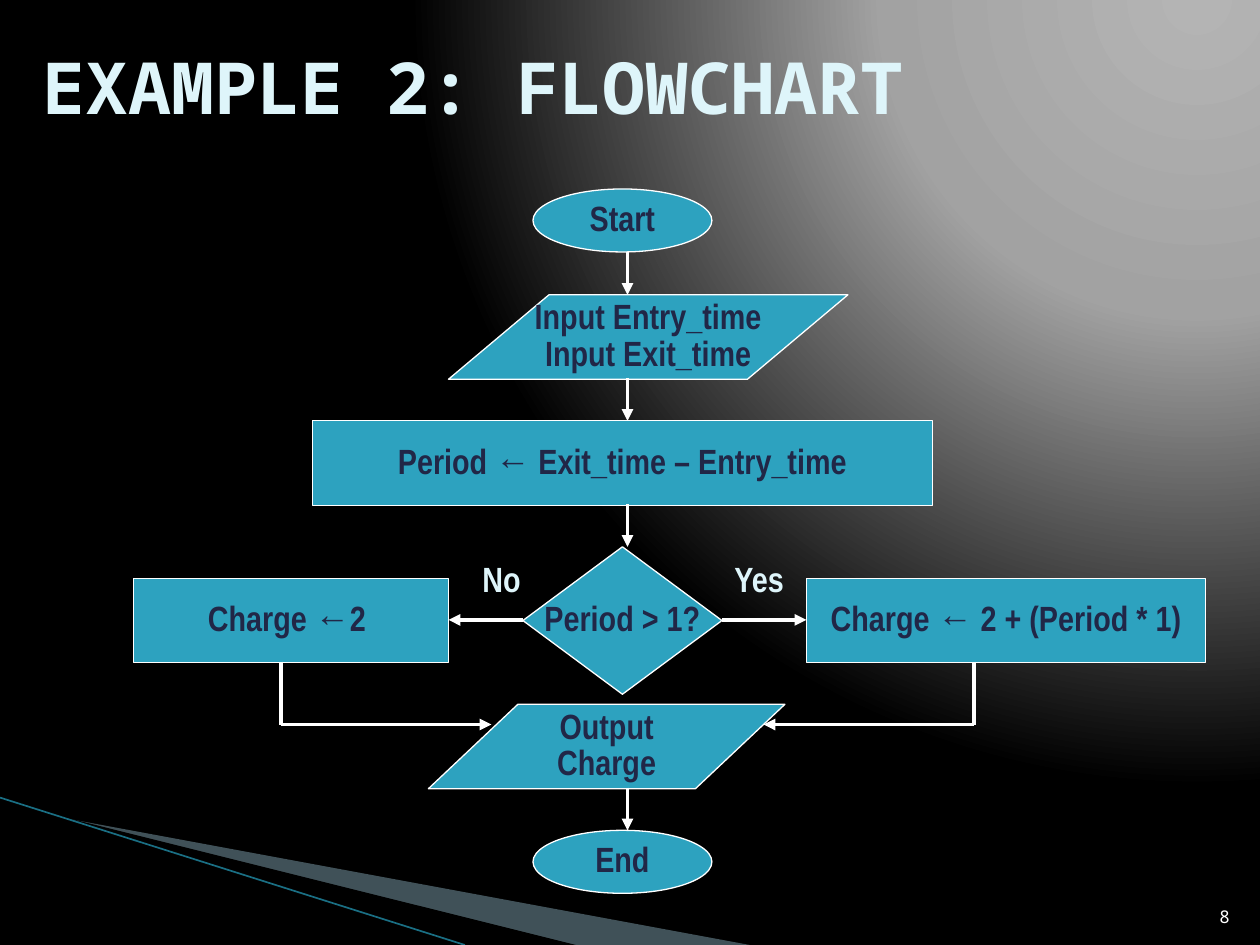
from dataclasses import dataclass

from lxml.etree import SubElement
from pptx import Presentation
from pptx.dml.color import RGBColor
from pptx.enum.shapes import MSO_CONNECTOR, MSO_SHAPE as Shape
from pptx.enum.text import MSO_ANCHOR as Anchor, PP_ALIGN as Align
from pptx.oxml.ns import qn
from pptx.util import Inches, Pt

WHITE = RGBColor(0xFF, 0xFF, 0xFF)
BLACK = RGBColor(0, 0, 0)
TEAL = RGBColor(0x2D, 0xA2, 0xBF)
NAVY = RGBColor(0x21, 0x27, 0x47)
ICE = RGBColor(0xDE, 0xF5, 0xFA)
WEDGE_BLUE = RGBColor(0xA0, 0xCB, 0xDC)
EDGE_BLUE = RGBColor(0x1A, 0x6F, 0x84)
GLOW_STOPS = ((0, "B4B4B4"), (40, "A2A2A2"), (100, "000000"))
GLOW_CENTRE = {"l": 95, "t": -106, "r": 5, "b": 206}

FLOW_FONT = "Arial Narrow"
MONO_FONT = "Noto Sans Mono"
BOX_HEIGHT = 0.67
OVAL_WIDTH, OVAL_HEIGHT = 1.42, 0.5
SPINE = 4.98
BRANCH_Y = 4.92
JOIN_Y = 5.75


@dataclass(frozen=True)
class TextStyle:
    font: str
    size: float
    color: RGBColor
    bold: bool = True
    align: Align = Align.LEFT
    spacing: float = 1.0


@dataclass(frozen=True)
class Node:
    kind: Shape
    left: float
    top: float
    width: float
    height: float
    lines: tuple[str, ...]
    slant: float | None = None


@dataclass(frozen=True)
class Label:
    text: str
    left: float
    top: float
    width: float
    height: float
    style: TextStyle
    anchor: Anchor = Anchor.TOP
    wrap: bool = False


@dataclass(frozen=True)
class Route:
    points: tuple[tuple[float, float], ...]


NODE_STYLE = TextStyle(FLOW_FONT, 20, NAVY, align=Align.CENTER, spacing=0.87)
BRANCH_STYLE = TextStyle(FLOW_FONT, 20, ICE, spacing=0.87)
TITLE_STYLE = TextStyle(MONO_FONT, 41, ICE, spacing=0.8)
NUMBER_STYLE = TextStyle(MONO_FONT, 10, WHITE, bold=False, align=Align.RIGHT)

NODES = (
    Node(Shape.OVAL, 4.23, 1.5, OVAL_WIDTH, OVAL_HEIGHT, ("Start",)),
    Node(Shape.PARALLELOGRAM, 3.56, 2.34, 3.17, BOX_HEIGHT,
         ("Input Entry_time", "Input Exit_time"), 1.19),
    Node(Shape.RECTANGLE, 2.48, 3.34, 4.92, BOX_HEIGHT,
         ("Period ← Exit_time – Entry_time",)),
    Node(Shape.DIAMOND, 4.15, 4.34, 1.58, 1.17, ("Period > 1?",)),
    Node(Shape.RECTANGLE, 1.06, 4.59, 2.5, BOX_HEIGHT, ("Charge ←2 ",)),
    Node(Shape.RECTANGLE, 6.4, 4.59, 3.17, BOX_HEIGHT,
         ("Charge ← 2 + (Period * 1)",)),
    Node(Shape.PARALLELOGRAM, 3.4, 5.59, 2.83, BOX_HEIGHT,
         ("Output", "Charge"), 1.06),
    Node(Shape.OVAL, 4.23, 6.59, OVAL_WIDTH, OVAL_HEIGHT, ("End",)),
)
LABELS = (
    Label("EXAMPLE 2: FLOWCHART", 0.24, 0.12, 8.5, 1.25, TITLE_STYLE,
          Anchor.MIDDLE, True),
    Label("No", 3.73, 4.42, 0.51, 0.43, BRANCH_STYLE),
    Label("Yes", 5.73, 4.42, 0.61, 0.43, BRANCH_STYLE),
    Label("8", 9.46, 7.01, 0.4, 0.4, NUMBER_STYLE, Anchor.BOTTOM, True),
)
ROUTES = tuple(
    Route(((SPINE, top), (SPINE, top + 0.34))) for top in (2, 3, 4, 6.25)
) + (
    Route(((4.15, BRANCH_Y), (3.56, BRANCH_Y))),
    Route(((5.73, BRANCH_Y), (6.4, BRANCH_Y))),
    Route(((2.23, 5.25), (2.23, JOIN_Y), (3.9, JOIN_Y))),
    Route(((7.73, 5.25), (7.73, JOIN_Y), (6.06, JOIN_Y))),
)


def paint_background(slide) -> None:
    slide.background.fill.solid()
    properties = slide.element.find(".//" + qn("p:bgPr"))
    properties.remove(properties.find(qn("a:solidFill")))
    gradient = SubElement(properties, qn("a:gradFill"), rotWithShape="1")
    properties.insert(0, gradient)
    stops = SubElement(gradient, qn("a:gsLst"))
    for position, color in GLOW_STOPS:
        stop = SubElement(stops, qn("a:gs"), pos=str(position * 1000))
        SubElement(stop, qn("a:srgbClr"), val=color)
    circle = SubElement(gradient, qn("a:path"), path="circle")
    SubElement(circle, qn("a:fillToRect"),
               {side: str(value * 1000) for side, value in GLOW_CENTRE.items()})


def write_lines(frame, lines: tuple[str, ...], style: TextStyle,
                anchor: Anchor, wrap: bool) -> None:
    frame.word_wrap = wrap
    frame.vertical_anchor = anchor
    for index, line in enumerate(lines):
        paragraph = frame.add_paragraph() if index else frame.paragraphs[0]
        paragraph.alignment = style.align
        paragraph.line_spacing = style.spacing
        run = paragraph.add_run()
        run.text = line
        run.font.name = style.font
        run.font.size = Pt(style.size)
        run.font.bold = style.bold
        run.font.color.rgb = style.color


def draw_wedge(slide, points: tuple[tuple[float, float], ...],
               color: RGBColor, opacity: int) -> None:
    corners = [(Inches(x), Inches(y)) for x, y in points]
    builder = slide.shapes.build_freeform(*corners[0])
    builder.add_line_segments(corners[1:], close=True)
    shape = builder.convert_to_shape()
    shape.shadow.inherit = False
    shape.fill.solid()
    shape.fill.fore_color.rgb = color
    shape.line.fill.background()
    swatch = shape.element.spPr.find(qn("a:solidFill")).find(qn("a:srgbClr"))
    SubElement(swatch, qn("a:alpha"), val=str(opacity * 1000))


def draw_line(slide, start: tuple[float, float], end: tuple[float, float],
              color: RGBColor, width: float, arrow: bool = False) -> None:
    connector = slide.shapes.add_connector(
        MSO_CONNECTOR.STRAIGHT, *(Inches(value) for value in start + end))
    connector.line.color.rgb = color
    connector.line.width = Pt(width)
    properties = connector.element.spPr
    if arrow:
        SubElement(properties.find(qn("a:ln")), qn("a:tailEnd"), type="triangle")
    SubElement(properties, qn("a:effectLst"))


def draw_route(slide, route: Route) -> None:
    for start, end in zip(route.points, route.points[1:]):
        draw_line(slide, start, end, WHITE, 2.25, end == route.points[-1])


def draw_node(slide, node: Node) -> None:
    shape = slide.shapes.add_shape(
        node.kind, Inches(node.left), Inches(node.top),
        Inches(node.width), Inches(node.height))
    shape.shadow.inherit = False
    if node.slant is not None:
        shape.adjustments[0] = node.slant
    shape.fill.solid()
    shape.fill.fore_color.rgb = TEAL
    shape.line.color.rgb = WHITE
    shape.line.width = Pt(0.75)
    write_lines(shape.text_frame, node.lines, NODE_STYLE, Anchor.MIDDLE, False)


def draw_label(slide, label: Label) -> None:
    box = slide.shapes.add_textbox(
        Inches(label.left), Inches(label.top),
        Inches(label.width), Inches(label.height))
    write_lines(box.text_frame, (label.text,), label.style, label.anchor, label.wrap)


def main() -> None:
    presentation = Presentation()
    presentation.slide_width, presentation.slide_height = Inches(10), Inches(7.5)
    slide = presentation.slides.add_slide(presentation.slide_layouts[6])
    paint_background(slide)
    draw_wedge(slide, ((0.55, 6.5), (5.95, 7.5), (4.56, 7.5)), WEDGE_BLUE, 40)
    draw_wedge(slide, ((0.53, 6.49), (4.57, 7.5), (3.72, 7.5)), BLACK, 100)
    draw_line(slide, (0, 6.33), (3.69, 7.5), EDGE_BLUE, 0.95)
    for node in NODES:
        draw_node(slide, node)
    for route in ROUTES:
        draw_route(slide, route)
    for label in LABELS:
        draw_label(slide, label)
    presentation.save("out.pptx")


if __name__ == "__main__":
    main()
